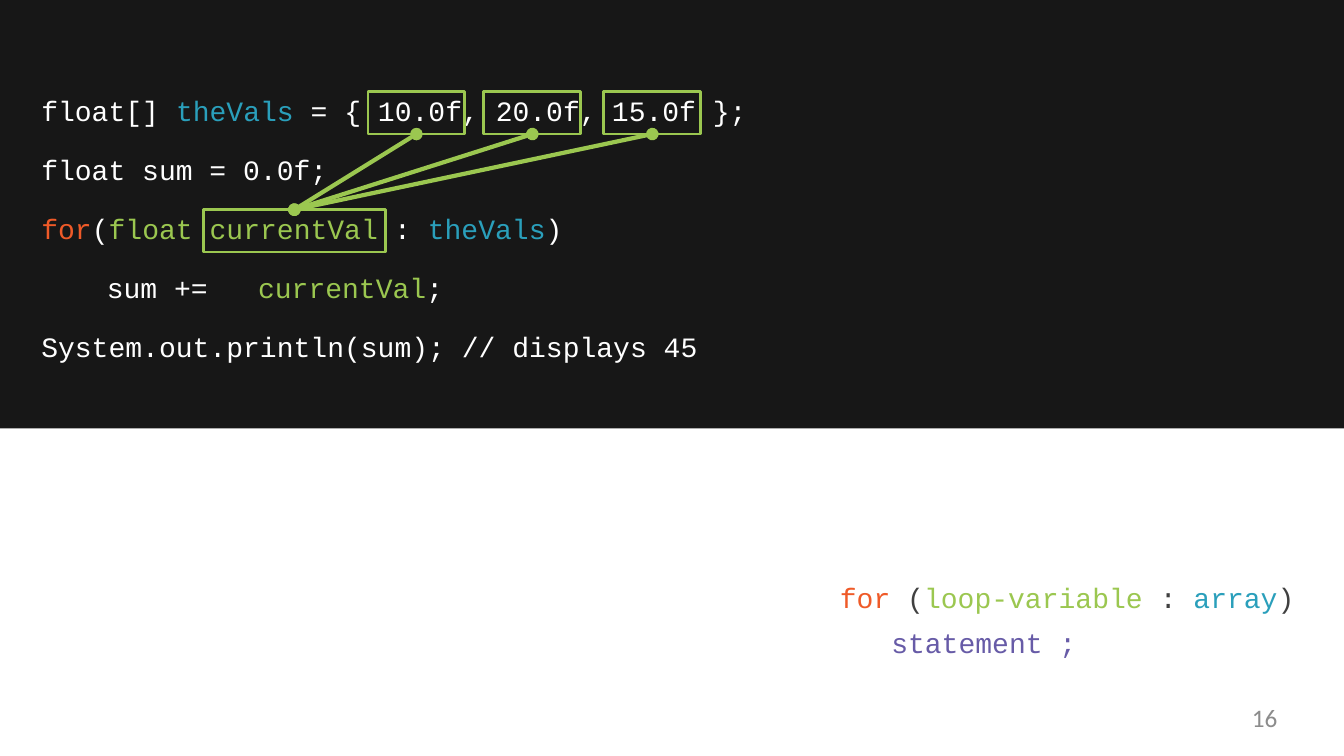
from lxml import etree
from pptx import Presentation
from pptx.dml.color import RGBColor
from pptx.enum.shapes import MSO_CONNECTOR, MSO_SHAPE
from pptx.enum.text import MSO_ANCHOR, PP_ALIGN
from pptx.oxml.ns import qn
from pptx.util import Inches, Pt

RECTANGLE = MSO_SHAPE.RECTANGLE
STRAIGHT = MSO_CONNECTOR.STRAIGHT
TOP = MSO_ANCHOR.TOP
LEFT, RIGHT = PP_ALIGN.LEFT, PP_ALIGN.RIGHT

DARK, WHITE, GRAY, PAGE_GRAY = "171717", "FFFFFF", "404040", "8C8C8C"
GREEN, BLUE, ORANGE, PURPLE = "9BC750", "2A9FBB", "EF5A28", "675BA7"
WIDTH, HEIGHT = 13.33, 7.5
CODE_LEFT, CODE_TOP, ROW = 0.4, 0.91, 0.585
BOX_HEIGHT = 0.42
VALUE_WIDTH = 0.96


def color(value):
    return RGBColor.from_string(value)


def write(shape, lines, inset=0.02, font="Courier New", size=20, align=LEFT):
    frame = shape.text_frame
    frame.word_wrap = True
    frame.vertical_anchor = TOP
    frame.margin_left = frame.margin_right = frame.margin_bottom = 0
    frame.margin_top = Inches(inset)
    for number, (margin, indent, tab, runs) in enumerate(lines):
        paragraph = frame.add_paragraph() if number else frame.paragraphs[0]
        paragraph.alignment = align
        properties = paragraph._p.get_or_add_pPr()
        properties.set("marL", str(Inches(margin)))
        properties.set("indent", str(Inches(indent)))
        if tab:
            stops = etree.SubElement(properties, qn("a:tabLst"))
            etree.SubElement(stops, qn("a:tab"), pos=str(Inches(tab)), algn="l")
        paragraph.space_before = Pt(18 if number else 0)
        paragraph.font.name = font
        paragraph.font.size = Pt(size)
        for text, ink in runs:
            for part, piece in enumerate(text.split("\n")):
                if part:
                    paragraph.add_line_break()
                run = paragraph.add_run()
                run.text = piece
                run.font.color.rgb = color(ink)


presentation = Presentation()
presentation.slide_width = Inches(WIDTH)
presentation.slide_height = Inches(HEIGHT)
slide = presentation.slides.add_slide(presentation.slide_layouts[6])
shapes = slide.shapes

code_panel = shapes.add_shape(RECTANGLE, 0, 0, Inches(WIDTH), Inches(4.25))
code_panel.shadow.inherit = False
code_panel.fill.solid()
code_panel.fill.fore_color.rgb = color(DARK)
code_panel.line.fill.background()

code_blocks = [
    (CODE_LEFT, 0, 5.53, 0.95, [
        (0.01, 0, None, [("float[] ", WHITE), ("theVals ", BLUE), ("= { 10.0f, 20.0f,", WHITE)]),
        (0.01, 0, None, [("float sum = 0.0f;", WHITE)]),
    ]),
    (7.06, 0, 0.36, 0.36, [(0.01, 0, None, [("};", WHITE)])]),
    (CODE_LEFT, 2, 1.53, 0.36, [
        (0.01, 0, None, [("for", ORANGE), ("(", WHITE), ("float", GREEN)]),
    ]),
    (3.9, 2, 1.7, 0.36, [
        (0.01, 0, None, [(": ", WHITE), ("theVals", BLUE), (")", WHITE)]),
    ]),
    (CODE_LEFT, 3, 6.53, 0.95, [
        (0.66, 0, 1.82, [("sum +=\t", WHITE), ("currentVal", GREEN), (";", WHITE)]),
        (0.01, 0, None, [("System.out.println(sum); // displays 45", WHITE)]),
    ]),
]
for left, row, width, height, lines in code_blocks:
    code = shapes.add_textbox(
        Inches(left), Inches(CODE_TOP + row * ROW), Inches(width), Inches(height))
    write(code, lines)

value_lefts = [3.65, 4.8, 5.99]
highlights = [
    (value_lefts[0], 0, VALUE_WIDTH, "", 0, WHITE),
    (value_lefts[1], 0, VALUE_WIDTH, "", 0, WHITE),
    (value_lefts[2], 0, VALUE_WIDTH, "15.0f", 0.08, WHITE),
    (2.02, 2, 1.8, "currentVal", 0.06, GREEN),
]
for left, row, width, label, margin, ink in highlights:
    highlight = shapes.add_shape(
        RECTANGLE, Inches(left), Inches(CODE_TOP + row * ROW), Inches(width), Inches(BOX_HEIGHT))
    highlight.shadow.inherit = False
    highlight.line.color.rgb = color(GREEN)
    highlight.line.width = Pt(2.04)
    if label:
        highlight.fill.solid()
        highlight.fill.fore_color.rgb = color(DARK)
        write(highlight, [(margin, 0, None, [(label, ink)])])
    else:
        highlight.fill.background()

for left in value_lefts:
    link = shapes.add_connector(
        STRAIGHT, Inches(2.92), Inches(CODE_TOP + 2 * ROW),
        Inches(left + VALUE_WIDTH / 2), Inches(CODE_TOP + BOX_HEIGHT))
    link.line.color.rgb = color(GREEN)
    link.line.width = Pt(3)
    outline = link.line._get_or_add_ln()
    for end in ("a:headEnd", "a:tailEnd"):
        etree.SubElement(outline, qn(end), type="oval", w="med", len="med")
    etree.SubElement(link._element.spPr, qn("a:effectLst"))

syntax = shapes.add_textbox(Inches(8.32), Inches(5.63), Inches(4.53), Inches(0.92))
write(syntax, [(0.52, -0.51, None, [
    ("for ", ORANGE), ("(", GRAY), ("loop-variable ", GREEN), (": ", GRAY),
    ("array", BLUE), (")\n", GRAY), ("statement ;", PURPLE),
])])
syntax.text_frame.paragraphs[0].line_spacing = 1.34

page_number = shapes.add_textbox(Inches(9.6), Inches(6.97), Inches(3.07), Inches(0.38))
write(page_number, [(0, 0, None, [("16", PAGE_GRAY)])], 0, "Calibri", 18, RIGHT)

presentation.save("out.pptx")
